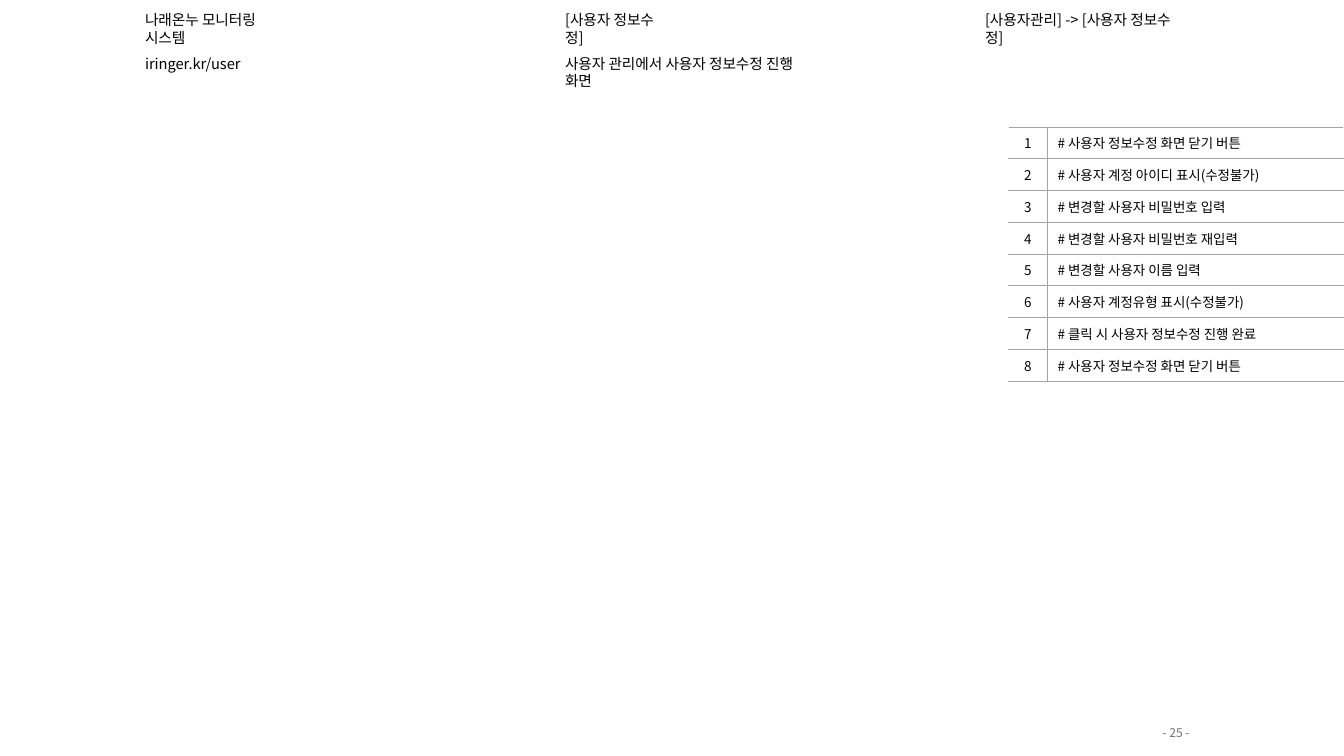
from lxml import etree
from pptx import Presentation
from pptx import util as u
from pptx.dml.color import RGBColor
from pptx.enum import text
from pptx.oxml import ns

FONT = "Noto Sans CJK KR"
BLACK = RGBColor(0x00, 0x00, 0x00)
WHITE = RGBColor(0xFF, 0xFF, 0xFF)
GREY = RGBColor(0x76, 0x71, 0x71)
RULE = RGBColor(0xA4, 0xA4, 0xA4)

WIDTH, HEIGHT = 13.33, 7.5
PANEL_LEFT, PANEL_WIDTH = 10, 3.33
NUMBER_WIDTH, ROW_HEIGHT = 0.39, 0.315

TITLE = "[사용자 정보수정]"
# Header fields: column, row, width, wording
FIELDS = [
    (0, 0, 1.68, "나래온누 모니터링 시스템"),
    (0, 1, 1.15, "iringer.kr/user"),
    (1, 0, 1.24, TITLE),
    (1, 1, 2.69, "사용자 관리에서 사용자 정보수정 진행 화면"),
    (2, 0, 2.22, "[사용자관리] -> [사용자 정보수정]"),
]
NOTES = [
    "사용자 정보수정 화면 닫기 버튼",
    "사용자 계정 아이디 표시(수정불가)",
    "변경할 사용자 비밀번호 입력",
    "변경할 사용자 비밀번호 재입력",
    "변경할 사용자 이름 입력",
    "사용자 계정유형 표시(수정불가)",
    "클릭 시 사용자 정보수정 진행 완료",
    "사용자 정보수정 화면 닫기 버튼",
]


def write(frame, wording, size, color=BLACK, align=text.PP_ALIGN.LEFT):
    frame.text = wording
    para = frame.paragraphs[0]
    para.alignment = align
    for span in para.runs:
        span.font.size = u.Pt(size)
        span.font.name = FONT
        span.font.color.rgb = color
        east = etree.SubElement(span.font._element, ns.qn("a:ea"))
        east.set("typeface", FONT)


def fit_box(box, left, top, width, height):
    box.left, box.top = u.Inches(left), u.Inches(top)
    box.width, box.height = u.Inches(width), u.Inches(height)
    frame = box.text_frame
    frame.word_wrap = True
    frame.auto_size = text.MSO_AUTO_SIZE.SHAPE_TO_FIT_TEXT
    frame.vertical_anchor = text.MSO_ANCHOR.TOP
    return frame


def add_header(page, left, top, column_step, row_step):
    for column, row, width, wording in FIELDS:
        if wording == TITLE:
            box = page.shapes.title
        else:
            box = page.shapes.add_textbox(0, 0, 0, 0)
        frame = fit_box(box, left + column * column_step,
                        top + row * row_step, width, 0.28)
        write(frame, wording, 10.5)


def add_borders(cell, sides):
    properties = cell._tc.get_or_add_tcPr()
    for side in sides:
        line = etree.SubElement(properties, ns.qn(f"a:ln{side}"), w=str(u.Pt(0.5)))
        fill = etree.SubElement(line, ns.qn("a:solidFill"))
        etree.SubElement(fill, ns.qn("a:srgbClr"), val=str(RULE))


def add_notes(page, left, top, width):
    frame = page.shapes.add_table(
        len(NOTES), 2, u.Inches(left), u.Inches(top),
        u.Inches(width), u.Inches(ROW_HEIGHT * len(NOTES)))
    table = frame.table
    table.first_row = table.horz_banding = False
    table.columns[0].width = u.Inches(NUMBER_WIDTH)
    table.columns[1].width = u.Inches(width - NUMBER_WIDTH)
    for index, note in enumerate(NOTES):
        table.rows[index].height = u.Inches(ROW_HEIGHT)
        entries = [
            (str(index + 1), text.PP_ALIGN.CENTER, "RTB"),
            (f"# {note}", text.PP_ALIGN.LEFT, "LTB"),
        ]
        for column, (wording, align, sides) in enumerate(entries):
            cell = table.cell(index, column)
            add_borders(cell, sides)
            cell.fill.solid()
            cell.fill.fore_color.rgb = WHITE
            cell.vertical_anchor = text.MSO_ANCHOR.MIDDLE
            write(cell.text_frame, wording, 9.6, align=align)


def add_page_number(page, left, top, width):
    box = page.shapes.add_textbox(0, 0, 0, 0)
    frame = fit_box(box, left, top, width, 0.25)
    write(frame, "- 25 -", 8.6, GREY, text.PP_ALIGN.CENTER)


def main():
    deck = Presentation()
    deck.slide_width, deck.slide_height = u.Inches(WIDTH), u.Inches(HEIGHT)
    page = deck.slides.add_slide(deck.slide_layouts[5])
    add_header(page, 1.34, 0.06, WIDTH / 3.2, 0.43)
    add_notes(page, PANEL_LEFT, 1.26, PANEL_WIDTH)
    add_page_number(page, PANEL_LEFT, 7.15, PANEL_WIDTH)
    deck.save("out.pptx")


if __name__ == "__main__":
    main()
